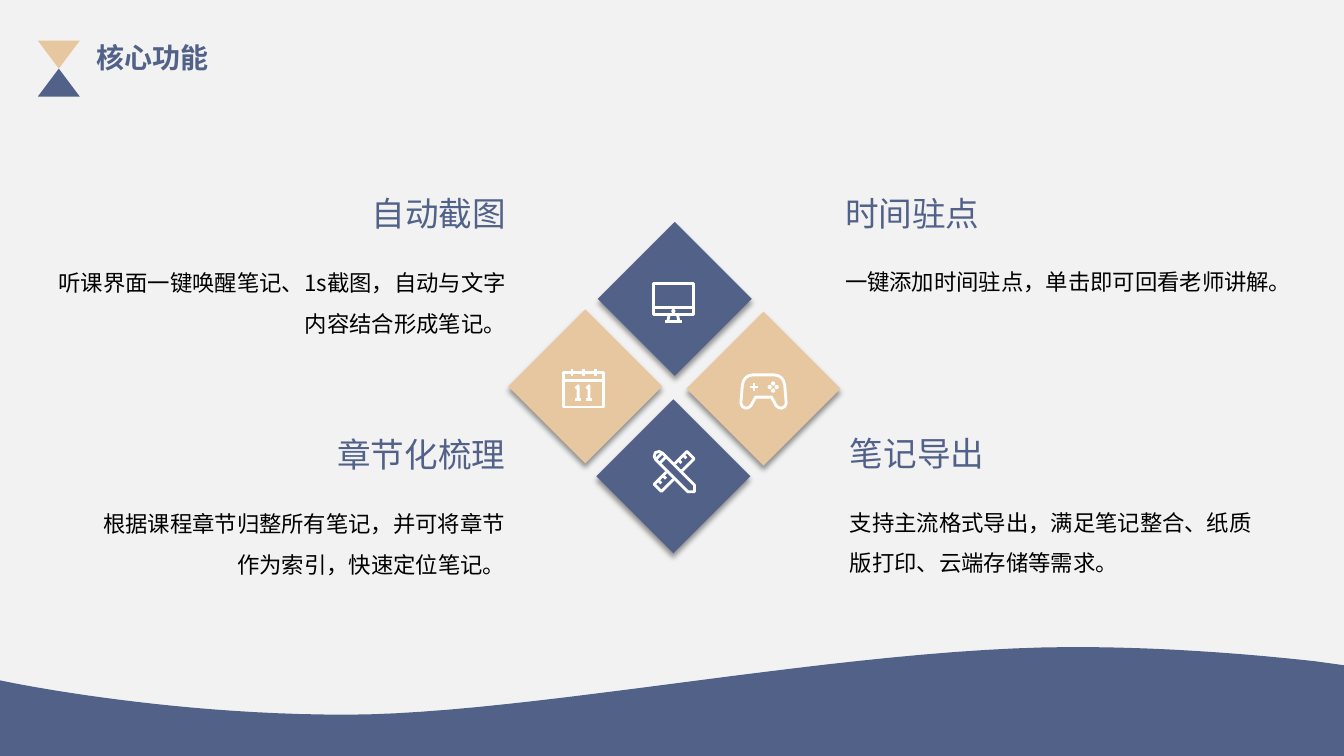
from lxml import etree
from pptx import Presentation
from pptx.dml.color import RGBColor
from pptx.enum.shapes import MSO_SHAPE
from pptx.enum.text import MSO_ANCHOR, PP_ALIGN
from pptx.oxml.ns import qn
from pptx.util import Pt

NAVY = RGBColor(0x52, 0x61, 0x88)
SAND = RGBColor(0xE7, 0xC7, 0xA0)
GREY = RGBColor(0xF2, 0xF2, 0xF2)
WHITE = RGBColor(0xFF, 0xFF, 0xFF)
BLACK = RGBColor(0, 0, 0)
FONT = "Noto Sans CJK SC"
LEFT, RIGHT = PP_ALIGN.LEFT, PP_ALIGN.RIGHT
TOP = MSO_ANCHOR.TOP
DIAMOND, ELLIPSE = MSO_SHAPE.DIAMOND, MSO_SHAPE.OVAL
TRIANGLE = MSO_SHAPE.ISOSCELES_TRIANGLE
WIDTH, HEIGHT = 960, 540
TITLE_ONLY = 5
DIAMOND_SIZE = 110

WAVE_START = (0, 486)
WAVE_CURVES = [
    ((0, 486), (113, 510.5), (247, 510.5)),
    ((380, 510.5), (605, 462.2), (767, 462.2)),
    ((827, 462.2), (887, 466.6), (939, 472.3)),
]

# Icon strokes are points from the icon's top-left corner; a stroke that ends where it starts is closed.
MONITOR = [
    [(0.7, 0.7), (29.5, 0.7), (29.5, 23.2), (0.7, 23.2), (0.7, 0.7)],
    [(0.7, 18), (29.5, 18)],
    [(12, 23.2), (11, 28.3)],
    [(18, 23.2), (19, 28.3)],
    [(9, 28.3), (21, 28.3)],
]
CALENDAR = [
    [(0.7, 3.2), (29.5, 3.2), (29.5, 28), (0.7, 28), (0.7, 3.2)],
    [(0.7, 9), (29.5, 9)],
    *[[(x, 0.5), (x, 5.5)] for x in (6.8, 15.1, 23.4)],
    *[[(x - 1.7, 14.8), (x, 12.8), (x, 22.8)] for x in (11.2, 18.9)],
    *[[(x - 2, 22.8), (x + 2, 22.8)] for x in (11.2, 18.9)],
]
GAMEPAD_HALF = [(11.2, 16.6), (7.9, 22.7), (6.3, 24), (4.3, 24.5), (1.8, 23.4), (0.7, 20.9),
                (1.8, 7.9), (2.6, 5), (4, 2.9), (6.3, 1.3), (9.4, 0.7)]
GAMEPAD = [
    GAMEPAD_HALF + [(33.8 - x, y) for x, y in reversed(GAMEPAD_HALF)] + GAMEPAD_HALF[:1],
    [(7, 9.4), (13.2, 9.4)],
    [(10.1, 6.3), (10.1, 12.5)],
]
TOOLS = [
    [(1.8, 6.5), (24.8, 29.5), (29.5, 29.5), (29.5, 24.8), (6.5, 1.8), (4.3, 0.7),
     (1.5, 1.5), (0.7, 4.3), (1.8, 6.5)],
    [(1.8, 6.5), (6.5, 1.8)],
    [(4.5, 9.2), (9.2, 4.5)],
    [(15.5, 9.3), (24.1, 0.7), (29.3, 5.9), (20.7, 14.5)],
    [(18, 6.8), (20.2, 9)],
    [(21.5, 3.3), (23.8, 5.6)],
    [(9.3, 15.5), (0.7, 24.1), (5.9, 29.3), (14.5, 20.7)],
    [(3.5, 21.3), (5.8, 23.6)],
    [(6.9, 17.9), (9.1, 20.1)],
]
MONITOR_DOTS = [(15, 20.6)]
GAMEPAD_DOTS = [(23.8 + dx, 9.4 + dy) for dx, dy in ((0, -2.5), (0, 2.5), (2.5, 0), (-2.5, 0))]

# Diamond centre, diamond colour, icon top-left corner, strokes, dots
DIAMONDS = [
    ((482, 213.5), NAVY, (466, 201.6), MONITOR, MONITOR_DOTS),
    ((481, 340.2), NAVY, (466.6, 321.8), TOOLS, []),
    ((418, 276), SAND, (401.8, 262.8), CALENDAR, []),
    ((545.4, 277.6), SAND, (528.5, 267.1), GAMEPAD, GAMEPAD_DOTS),
]
FEATURES = [
    ((596.5, 134, 325.5), LEFT, "时间驻点", "一键添加时间驻点，单击即可回看老师讲解。"),
    ((600, 305.5, 317), LEFT, "笔记导出", "支持主流格式导出，满足笔记整合、纸质版打印、云端存储等需求。"),
    ((51, 306.5, 317), RIGHT, "章节化梳理", "根据课程章节归整所有笔记，并可将章节作为索引，快速定位笔记。"),
    ((33, 134.5, 335.5), RIGHT, "自动截图", "听课界面一键唤醒笔记、1s截图，自动与文字内容结合形成笔记。"),
]


def write_text(shape, text, size, color, alignment, line_spacing=None, bold=False):
    frame = shape.text_frame
    frame.word_wrap, frame.vertical_anchor = True, TOP
    paragraph = frame.paragraphs[0]
    paragraph.alignment, paragraph.line_spacing = alignment, line_spacing
    run = paragraph.add_run()
    run.text = text
    for name, value in {"name": FONT, "size": Pt(size), "bold": bold}.items():
        setattr(run.font, name, value)
    run.font.color.rgb = color
    etree.SubElement(run.font._element, qn("a:ea"), typeface=FONT)


def add_filled(slide, kind, box, color):
    shape = slide.shapes.add_shape(kind, *map(Pt, box))
    shape.shadow.inherit = False
    shape.fill.solid()
    shape.fill.fore_color.rgb = color
    shape.line.fill.background()
    return shape


def add_outline(slide, origin, strokes):
    """Build one freeform from several strokes placed from the origin."""
    left, top = origin
    placed = [[(Pt(left + x), Pt(top + y)) for x, y in stroke] for stroke in strokes]
    builder = slide.shapes.build_freeform(*placed[0][0])
    for number, stroke in enumerate(placed):
        if number:
            builder.move_to(*stroke[0])
        builder.add_line_segments(stroke[1:], close=stroke[0] == stroke[-1])
    shape = builder.convert_to_shape()
    shape.shadow.inherit = False
    return shape


def add_wave(slide):
    points, start = [WAVE_START], WAVE_START
    for first, second, end in WAVE_CURVES:
        for step in range(1, 25):
            t = step / 24
            weights = ((1 - t) ** 3, 3 * t * (1 - t) ** 2, 3 * t * t * (1 - t), t ** 3)
            corners = (start, first, second, end)
            points.append(tuple(sum(w * corner[axis] for w, corner in zip(weights, corners))
                                for axis in (0, 1)))
        start = end
    points += [(WIDTH, 475.2), (WIDTH, HEIGHT), (0, HEIGHT), WAVE_START]
    wave = add_outline(slide, (0, 0), [points])
    wave.fill.solid()
    wave.fill.fore_color.rgb = NAVY
    wave.line.fill.background()


def add_header(slide, left, top):
    add_filled(slide, TRIANGLE, (left, top + 20, 30, 20), NAVY)
    add_filled(slide, TRIANGLE, (left, top, 30, 20), SAND).rotation = 180
    title = slide.shapes.title
    box = {"left": left + 35, "top": top - 4, "width": 106, "height": 32}
    for name, value in box.items():
        setattr(title, name, Pt(value))
    write_text(title, "核心功能", 20, NAVY, LEFT, bold=True)


def add_diamond(slide, center, color):
    x, y = center
    half = DIAMOND_SIZE / 2
    shape = add_filled(slide, DIAMOND, (x - half, y - half, DIAMOND_SIZE, DIAMOND_SIZE), color)
    effects = shape._element.spPr.find(qn("a:effectLst"))
    shadow = etree.SubElement(effects, qn("a:outerShdw"), blurRad=str(Pt(4)), dist=str(Pt(3)),
                              dir="5400000", algn="t", rotWithShape="0")
    black = etree.SubElement(shadow, qn("a:srgbClr"), val=str(BLACK))
    etree.SubElement(black, qn("a:alpha"), val="40000")


def add_icon(slide, origin, strokes, dots):
    icon = add_outline(slide, origin, strokes)
    icon.fill.background()
    icon.line.color.rgb = WHITE
    icon.line.width = Pt(2)
    for x, y in dots:
        add_filled(slide, ELLIPSE, (origin[0] + x - 1.5, origin[1] + y - 1.5, 3, 3), WHITE)


def add_feature(slide, box, alignment, heading, body):
    left, top, width = box
    heading_box = slide.shapes.add_textbox(Pt(left), Pt(top), Pt(width), Pt(36))
    write_text(heading_box, heading, 24, NAVY, alignment)
    body_box = slide.shapes.add_textbox(Pt(left), Pt(top + 44.5), Pt(width), Pt(66))
    write_text(body_box, body, 16, BLACK, alignment, line_spacing=Pt(29))


def main():
    presentation = Presentation()
    presentation.slide_width, presentation.slide_height = Pt(WIDTH), Pt(HEIGHT)
    slide = presentation.slides.add_slide(presentation.slide_layouts[TITLE_ONLY])
    slide.background.fill.solid()
    slide.background.fill.fore_color.rgb = GREY
    add_wave(slide)
    add_header(slide, 27, 29)
    for center, color, *_ in DIAMONDS:
        add_diamond(slide, center, color)
    for _, _, origin, strokes, dots in DIAMONDS:
        add_icon(slide, origin, strokes, dots)
    for feature in FEATURES:
        add_feature(slide, *feature)
    presentation.save("out.pptx")


if __name__ == "__main__":
    main()
